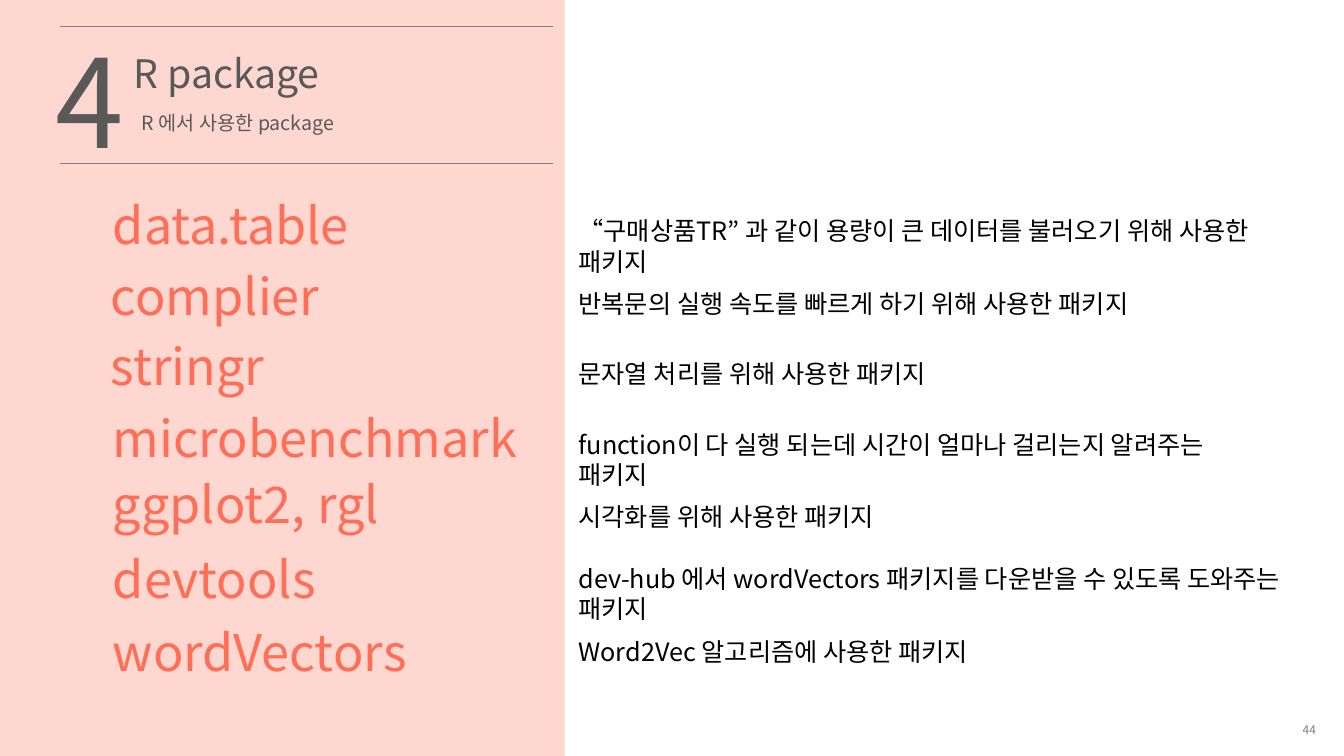
from lxml.etree import SubElement
from pptx import Presentation
from pptx.dml.color import RGBColor
from pptx.enum.shapes import MSO_CONNECTOR, MSO_SHAPE
from pptx.enum.text import MSO_ANCHOR, PP_ALIGN
from pptx.oxml.ns import qn
from pptx.util import Inches, Pt

FONT = "Noto Sans CJK KR"
PANEL, CORAL, DARK, GRAY, BLACK = "FFBCB2", "FF6E57", "595959", "808080", "000000"

HEADINGS = [
    ("R package", 1.23, 0.44, 4.49, 0.57, 28, None),
    ("R 에서 사용한 package", 1.31, 1.05, 4.57, 0.34, 14, 17),
    ("4", 0.45, 0.2, 1.18, 1.58, 88, None),
]
PACKAGES = [
    ("data.table", 1.02, 1.88, "“구매상품TR” 과 같이 용량이 큰 데이터를 불러오기 위해 사용한 패키지", 2.09, 7.32),
    ("complier", 1, 2.58, "반복문의 실행 속도를 빠르게 하기 위해 사용한 패키지", 2.81, 7.01),
    ("stringr", 1, 3.28, "문자열 처리를 위해 사용한 패키지", 3.51, 7.01),
    ("microbenchmark", 1.02, 3.99, "function이 다 실행 되는데 시간이 얼마나 걸리는지 알려주는 패키지", 4.21, 7.01),
    ("ggplot2, rgl", 1.02, 4.64, "시각화를 위해 사용한 패키지", 4.92, 7.01),
    ("devtools", 1.02, 5.39, "dev-hub 에서 wordVectors 패키지를 다운받을 수 있도록 도와주는 패키지", 5.54, 7.69),
    ("wordVectors", 1.02, 6.11, "Word2Vec 알고리즘에 사용한 패키지", 6.26, 7.01),
]
RULE_TOPS = [0.26, 1.62]
RULE_LEFT, RULE_RIGHT = 0.6, 5.48
DESCRIPTION_LEFT = 5.64


def color(hex_string):
    return RGBColor.from_string(hex_string)


def add_text(text, left, top, width, height, size, hex_string, hanging=False):
    box = slide.shapes.add_textbox(Inches(left), Inches(top), Inches(width), Inches(height))
    box.text_frame.word_wrap = True
    paragraph = box.text_frame.paragraphs[0]
    run = paragraph.add_run()
    run.text = text
    paragraph.font.size = Pt(size)
    paragraph.font.color.rgb = color(hex_string)
    run.font.name = FONT
    SubElement(run.font._element, qn("a:ea"), typeface=FONT)
    if hanging:
        properties = paragraph._p.get_or_add_pPr()
        properties.set("marL", str(Inches(0.38)))
        properties.set("indent", str(Inches(-0.38)))
    return box


def add_rule(top):
    rule = slide.shapes.add_connector(
        MSO_CONNECTOR.STRAIGHT, Inches(RULE_LEFT), Inches(top), Inches(RULE_RIGHT), Inches(top))
    rule.line.color.rgb = color(GRAY)
    rule.line.width = Pt(0.75)
    SubElement(rule._element.spPr, qn("a:effectLst"))


presentation = Presentation()
presentation.slide_width, presentation.slide_height = Inches(13.33), Inches(7.5)
slide = presentation.slides.add_slide(presentation.slide_layouts[6])

panel = slide.shapes.add_shape(MSO_SHAPE.RECTANGLE, 0, 0, Inches(5.6), Inches(7.5))
panel.shadow.inherit = False
panel.fill.solid()
panel.fill.fore_color.rgb = color(PANEL)
panel.line.fill.background()
SubElement(panel._element.spPr.find(".//" + qn("a:srgbClr")), qn("a:alpha"), val="59000")

for text, left, top, width, height, size, spacing in HEADINGS:
    heading = add_text(text, left, top, width, height, size, DARK, hanging=True)
    if spacing:
        heading.text_frame.paragraphs[0].line_spacing = Pt(spacing)

for top in RULE_TOPS:
    add_rule(top)

for name, left, top, description, description_top, width in PACKAGES:
    add_text(name, left, top, 4.49, 0.71, 36, CORAL, hanging=True)
    add_text(description, DESCRIPTION_LEFT, description_top, width, 0.4, 18, BLACK)

page_number = add_text("44", 10.34, 7.1, 2.81, 0.27, 8.5, GRAY)
page_number.text_frame.vertical_anchor = MSO_ANCHOR.MIDDLE
page_number.text_frame.paragraphs[0].alignment = PP_ALIGN.RIGHT

presentation.save("out.pptx")
